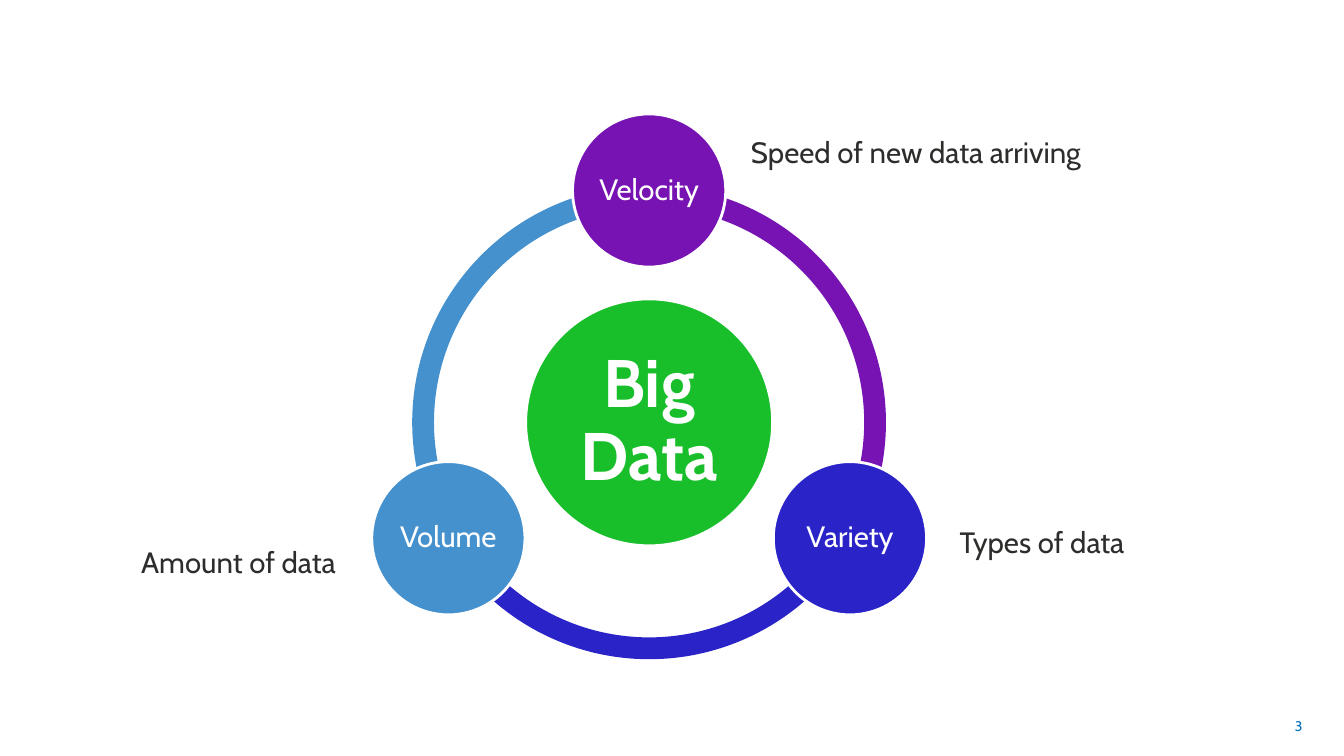
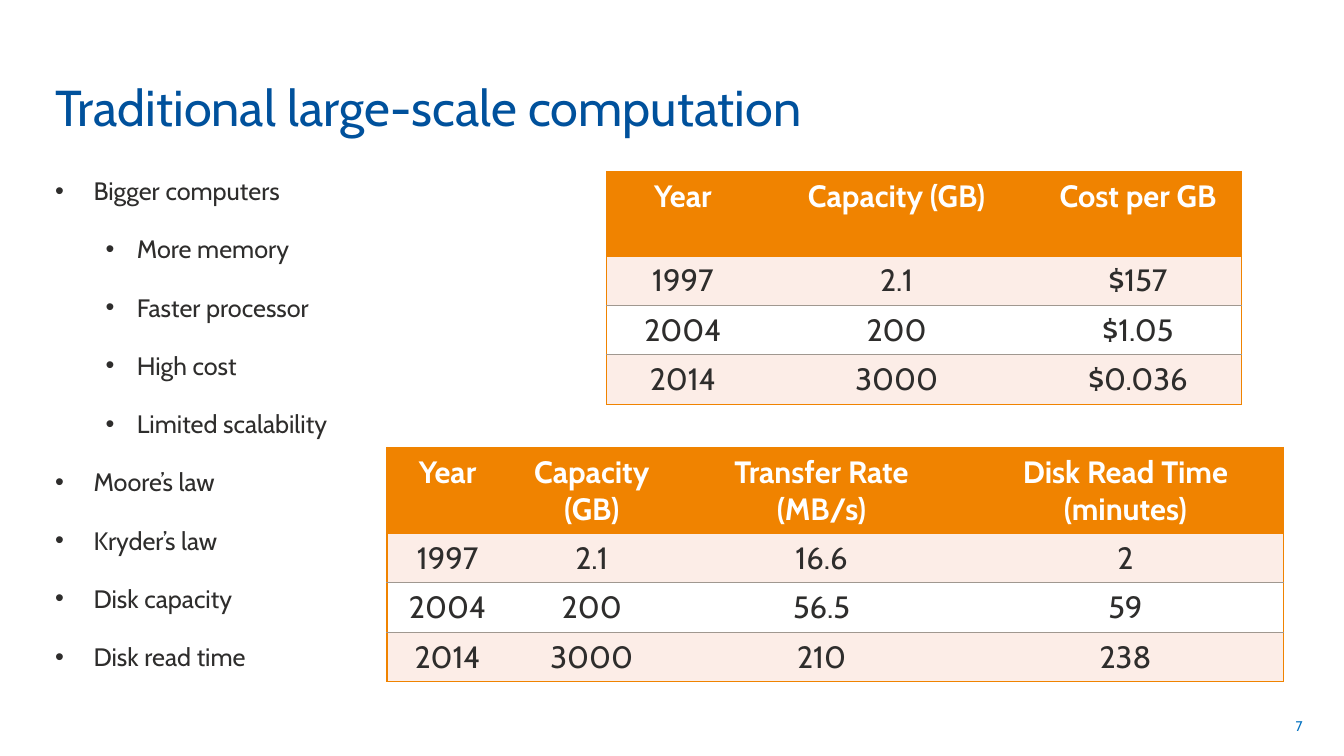
import math

from lxml import etree
from pptx import Presentation
from pptx.dml.color import RGBColor
from pptx.enum import shapes, text
from pptx.oxml import ns
from pptx.util import Emu, Inches, Pt

# The slide is a grid of square cells, 40 columns by 22.5 rows.
COLUMNS, ROWS = 40, 22.5
CELL = Inches(1) / 3

FONT = "Cabin"
WHITE = RGBColor(0xFF, 0xFF, 0xFF)
INK = RGBColor(0x2E, 0x2D, 0x2C)
TITLE_BLUE = RGBColor(0x00, 0x51, 0x9C)
NUMBER_BLUE = RGBColor(0x00, 0x70, 0xC0)
GREEN = RGBColor(0x18, 0xBF, 0x2B)
PURPLE = RGBColor(0x77, 0x13, 0xB2)
INDIGO = RGBColor(0x2A, 0x24, 0xC8)
SKY = RGBColor(0x45, 0x91, 0xCE)
ORANGE = RGBColor(0xF0, 0x83, 0x00)
BLUSH = RGBColor(0xFC, 0xED, 0xE7)
GREY = RGBColor(0xA0, 0x98, 0x90)

WIDE_INSETS = (0.13, 0.06)
RING_CENTRE = (19.32, 12.57)
RING_SIZE, ORBIT_RADIUS, RING_THICKNESS = 14.1, 6.9, 0.046
HUB_SIZE, NODE_SIZE = 7.35, 4.56
NODES = [("Velocity", PURPLE), ("Variety", INDIGO), ("Volume", SKY)]
STEP = 360 / len(NODES)
NODE_LABELS = [
    ("Types of data", (28.17, 15.42, 7.86, 1.44)),
    ("Speed of new data arriving", (21.96, 3.81, 16.74, 1.44)),
    ("Amount of data", (3.81, 16.02, 7.05, 1.44)),
]

BULLETS = [
    ("Bigger computers", 0),
    ("More memory", 1),
    ("Faster processor", 1),
    ("High cost", 1),
    ("Limited scalability", 1),
    ("Moore’s law", 0),
    ("Kryder’s law", 0),
    ("Disk capacity", 0),
    ("Disk read time", 0),
]
BULLET_INDENTS = [(0.38, -0.38), (0.81, -0.31)]

HEADER_HEIGHT, ROW_HEIGHT = 2.52, 1.47
COST_WIDTHS = [4.53, 8.19, 6.18]
COST_ROWS = [
    ("Year", "Capacity (GB)", "Cost per GB"),
    ("1997", "2.1", "$157"),
    ("2004", "200", "$1.05"),
    ("2014", "3000", "$0.036"),
]
READ_WIDTHS = [3.6, 4.98, 8.7, 9.39]
READ_ROWS = [
    ("Year", "Capacity (GB)", "Transfer Rate (MB/s)", "Disk Read Time (minutes)"),
    ("1997", "2.1", "16.6", "2"),
    ("2004", "200", "56.5", "59"),
    ("2014", "3000", "210", "238"),
]


def cells(*counts):
    """Turn counts of grid cells into lengths."""
    return [Emu(round(count * CELL)) for count in counts]


def style(para, size, color, bold=False, align=text.PP_ALIGN.LEFT):
    para.alignment = align
    font = para.font
    font.name, font.size, font.bold = FONT, Pt(size), bold
    font.color.rgb = color


def set_insets(holder, across, down):
    holder.margin_left = holder.margin_right = Inches(across)
    holder.margin_top = holder.margin_bottom = Inches(down)


def add_frame(page, area, anchor=text.MSO_ANCHOR.TOP, insets=(0.1, 0.05)):
    frame = page.shapes.add_textbox(*cells(*area)).text_frame
    frame.word_wrap = True
    frame.vertical_anchor = anchor
    set_insets(frame, *insets)
    return frame


def add_line(page, words, area, size, color, align=text.PP_ALIGN.LEFT, **frame_options):
    """Add a text box that holds one paragraph."""
    para = add_frame(page, area, **frame_options).paragraphs[0]
    para.text = words
    style(para, size, color, align=align)


def add_title(page, words):
    add_line(page, words, (1.35, 0.42, 29.94, 3.78), 36, TITLE_BLUE,
             anchor=text.MSO_ANCHOR.BOTTOM)


def add_page(deck, number):
    page = deck.slides.add_slide(deck.slide_layouts[6])
    add_line(page, str(number), (29.73, 21, 9.33, 1.2), 10, NUMBER_BLUE,
             align=text.PP_ALIGN.RIGHT, anchor=text.MSO_ANCHOR.MIDDLE)
    return page


def add_round(page, kind, centre, size, color):
    """Add a shape of equal width and height around a centre."""
    left, top = (middle - size / 2 for middle in centre)
    shape = page.shapes.add_shape(kind, *cells(left, top, size, size))
    shape.shadow.inherit = False
    shape.fill.solid()
    shape.fill.fore_color.rgb = color
    shape.line.fill.background()
    return shape


def add_arc(page, start, end, color):
    """Add a ring segment; angles run clockwise from the right."""
    arc = add_round(page, shapes.MSO_SHAPE.BLOCK_ARC, RING_CENTRE, RING_SIZE, color)
    # Angles are stored in 60000ths of a degree, adjustments in 100000ths.
    arc.adjustments[0] = start % 360 * 0.6
    arc.adjustments[1] = end % 360 * 0.6
    arc.adjustments[2] = RING_THICKNESS


def add_circle(page, words, centre, size, color, points, inset, bold=False):
    circle = add_round(page, shapes.MSO_SHAPE.OVAL, centre, size, color)
    circle.line.color.rgb = WHITE
    circle.line.width = Pt(2)
    frame = circle.text_frame
    frame.word_wrap = True
    frame.vertical_anchor = text.MSO_ANCHOR.MIDDLE
    set_insets(frame, inset, inset)
    para = frame.paragraphs[0]
    para.text = words
    para.line_spacing = 0.9
    style(para, points, WHITE, bold, text.PP_ALIGN.CENTER)


def add_bullets(page, items, area):
    frame = add_frame(page, area)
    for index, (words, level) in enumerate(items):
        para = frame.add_paragraph() if index else frame.paragraphs[0]
        para.text = words
        para.level = level
        para.space_before = para.space_after = Pt(10)
        margin, indent = BULLET_INDENTS[level]
        props = para._p.get_or_add_pPr()
        props.set("marL", str(Inches(margin)))
        props.set("indent", str(Inches(indent)))
        etree.SubElement(props, ns.qn("a:buFont"), typeface="Arial")
        etree.SubElement(props, ns.qn("a:buChar"), char="•")
        style(para, 18, INK)


def add_border(cell, side, color, points=1):
    """Draw one side of a cell (L, R, T or B); no colour means no line."""
    props = cell._tc.get_or_add_tcPr()
    line = etree.SubElement(props, ns.qn(f"a:ln{side}"), w=str(Pt(points)))
    if color is None:
        etree.SubElement(line, ns.qn("a:noFill"))
    else:
        fill = etree.SubElement(line, ns.qn("a:solidFill"))
        etree.SubElement(fill, ns.qn("a:srgbClr"), val=str(color))


def fill_cell(cell, words, row, at_edge):
    header = row == 0
    set_insets(cell, *WIDE_INSETS)
    for side in "LRTB":
        if at_edge[side]:
            add_border(cell, side, ORANGE)
        elif side in "LR":
            add_border(cell, side, None)
        elif header or (row == 1 and side == "T"):
            add_border(cell, side, ORANGE)
        else:
            add_border(cell, side, GREY, 0.75)
    cell.fill.solid()
    cell.fill.fore_color.rgb = ORANGE if header else BLUSH if row % 2 else WHITE
    para = cell.text_frame.paragraphs[0]
    para.text = words
    style(para, 22, WHITE if header else INK, header, text.PP_ALIGN.CENTER)


def add_data_table(page, left, top, widths, rows):
    heights = [HEADER_HEIGHT] + [ROW_HEIGHT] * (len(rows) - 1)
    area = cells(left, top, sum(widths), sum(heights))
    table = page.shapes.add_table(len(rows), len(widths), *area).table
    for column, width in zip(table.columns, cells(*widths)):
        column.width = width
    for row, height in zip(table.rows, cells(*heights)):
        row.height = height
    for r, values in enumerate(rows):
        for c, words in enumerate(values):
            at_edge = {"L": c == 0, "R": c == len(widths) - 1,
                       "T": r == 0, "B": r == len(rows) - 1}
            fill_cell(table.cell(r, c), words, r, at_edge)


def build_big_data(deck):
    page = add_page(deck, 3)
    angles = [-90 + index * STEP for index in range(len(NODES))]
    for angle, (_, color) in zip(angles, NODES):
        add_arc(page, angle, angle + STEP, color)
    add_circle(page, "Big Data", RING_CENTRE, HUB_SIZE, GREEN, 48, 0.07, bold=True)
    for angle, (words, color) in zip(angles, NODES):
        turn = math.radians(angle)
        centre = (RING_CENTRE[0] + ORBIT_RADIUS * math.cos(turn),
                  RING_CENTRE[1] + ORBIT_RADIUS * math.sin(turn))
        add_circle(page, words, centre, NODE_SIZE, color, 21, 0.03)
    for words, area in NODE_LABELS:
        add_line(page, words, area, 21, INK, insets=WIDE_INSETS)


def build_computation(deck):
    page = add_page(deck, 7)
    add_bullets(page, BULLETS, (1.35, 5.07, 37.41, 14.91))
    add_title(page, "Traditional large-scale computation")
    add_data_table(page, 18.06, 5.1, COST_WIDTHS, COST_ROWS)
    add_data_table(page, 11.52, 13.32, READ_WIDTHS, READ_ROWS)


def main():
    deck = Presentation()
    deck.slide_width, deck.slide_height = cells(COLUMNS, ROWS)
    build_big_data(deck)
    build_computation(deck)
    deck.save("out.pptx")


if __name__ == "__main__":
    main()
